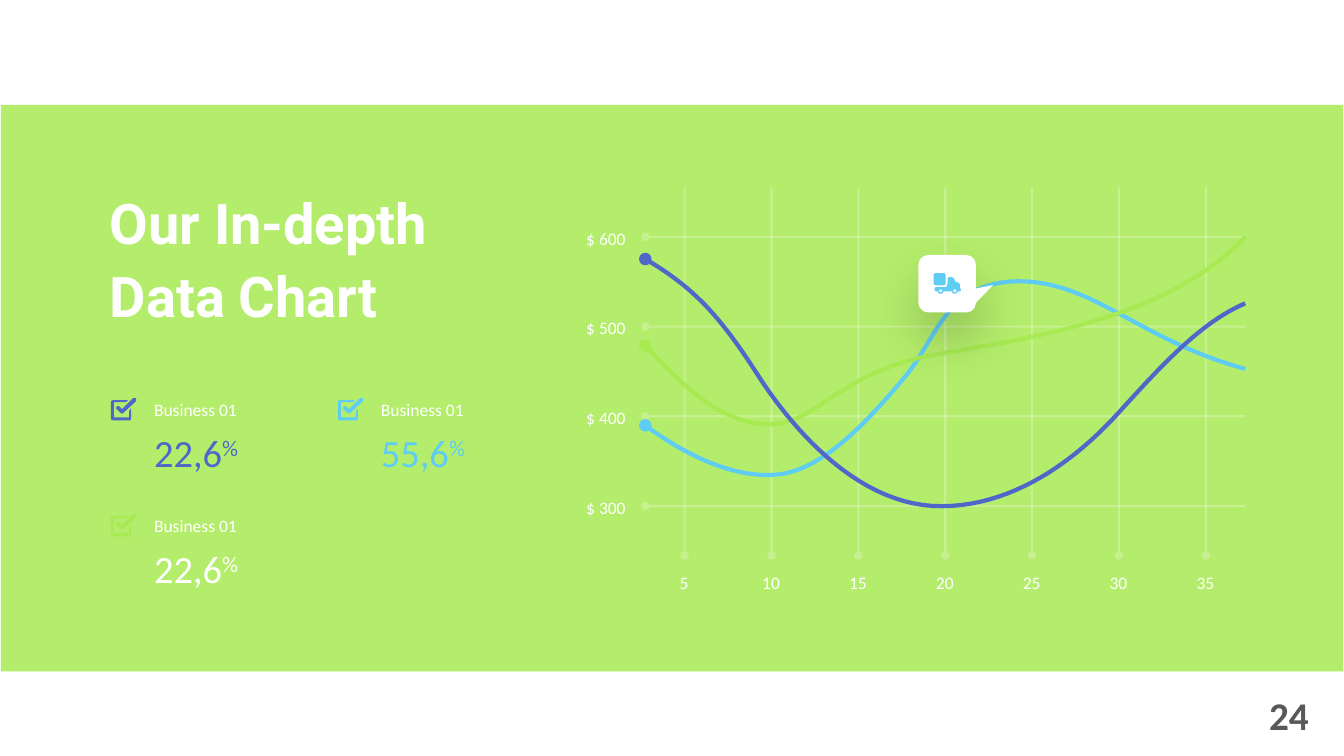
from lxml import etree
from pptx import Presentation
from pptx.dml.color import RGBColor
from pptx.enum.shapes import MSO_CONNECTOR, MSO_SHAPE
from pptx.enum.text import PP_ALIGN
from pptx.oxml.ns import qn
from pptx.util import Inches, Pt

STRAIGHT = MSO_CONNECTOR.STRAIGHT
RECTANGLE = MSO_SHAPE.RECTANGLE
ROUNDED = MSO_SHAPE.ROUNDED_RECTANGLE
OVAL = MSO_SHAPE.OVAL
CALLOUT = MSO_SHAPE.ROUNDED_RECTANGULAR_CALLOUT
LEFT, CENTER, RIGHT = PP_ALIGN.LEFT, PP_ALIGN.CENTER, PP_ALIGN.RIGHT

COLORS = {
    "white": "FFFFFF",
    "gray": "595959",
    "green": "A7EA52",
    "sky": "5ECCF3",
    "blue": "4E67C8",
}

SERIES = [
    ("sky", [(6.4, 4.22), (6.83, 4.54), (7.34, 4.77), (7.77, 4.7),
             (8.2, 4.62), (8.61, 4.17), (8.95, 3.77),
             (9.3, 3.37), (9.36, 2.8), (10.1, 2.79),
             (10.85, 2.79), (11.29, 3.37), (12.35, 3.66)]),
    ("green", [(6.4, 3.43), (6.76, 3.81), (7.13, 4.2), (7.62, 4.21),
               (8.11, 4.22), (8.3, 3.68), (9.32, 3.51),
               (10.35, 3.34), (11.63, 3.12), (12.35, 2.35)]),
    ("blue", [(6.4, 2.57), (6.88, 2.85), (7.14, 3.14), (7.49, 3.68),
              (7.83, 4.22), (8.46, 4.97), (9.25, 5.02),
              (10.04, 5.06), (10.69, 4.54), (11.09, 4.1),
              (11.49, 3.66), (11.9, 3.2), (12.35, 3.01)]),
]

CHECKBOX = [
    [(0, 0.21), (0, 0.03), (0.02, 0.02), (0.17, 0.02), (0.15, 0.04),
     (0.03, 0.04), (0.03, 0.19), (0.18, 0.19), (0.18, 0.13), (0.2, 0.1),
     (0.2, 0.21), (0.19, 0.22), (0.02, 0.22)],
    [(0.11, 0.11), (0.08, 0.08), (0.06, 0.08), (0.05, 0.1), (0.06, 0.11),
     (0.1, 0.15), (0.12, 0.15), (0.25, 0.03), (0.25, 0), (0.22, 0)],
]

TRUCK_BODY = [
    [(9.41, 2.75), (9.44, 2.75), (9.46, 2.76), (9.48, 2.8), (9.5, 2.8),
     (9.52, 2.82), (9.52, 2.85), (9.53, 2.87), (9.53, 2.88), (9.52, 2.89),
     (9.28, 2.89), (9.27, 2.88), (9.27, 2.86), (9.28, 2.85), (9.37, 2.85),
     (9.39, 2.84), (9.4, 2.81), (9.4, 2.76)],
]

METRICS = [
    (1.1, 3.95, "blue", "22,6", "blue"),
    (3.35, 3.95, "sky", "55,6", "sky"),
    (1.1, 5.1, "green", "22,6", "white"),
]


def rgb(color):
    return RGBColor.from_string(COLORS[color])


def set_alpha(shape, percent):
    for color in shape._element.spPr.iter(qn("a:srgbClr")):
        etree.SubElement(color, qn("a:alpha"), val=str(percent * 1000))


def add_oval_head(shape):
    line = shape._element.spPr.find(qn("a:ln"))
    etree.SubElement(line, qn("a:headEnd"), type="oval")


def fill_plain(shape, color):
    shape.shadow.inherit = False
    shape.fill.solid()
    shape.fill.fore_color.rgb = rgb(color)
    shape.line.fill.background()
    return shape


def add_block(slide, kind, left, top, width, height, color):
    shape = slide.shapes.add_shape(
        kind, Inches(left), Inches(top), Inches(width), Inches(height))
    return fill_plain(shape, color)


def add_text(slide, text, left, top, width, height, *, size=12.5, color="white",
             font="Calibri", bold=False, align=LEFT, spacing=None, superscript=""):
    box = slide.shapes.add_textbox(
        Inches(left), Inches(top), Inches(width), Inches(height))
    box.text_frame.word_wrap = True
    paragraph = box.text_frame.paragraphs[0]
    paragraph.alignment = align
    paragraph.line_spacing = spacing
    for part in filter(None, (text, superscript)):
        run = paragraph.add_run()
        run.text = part
        run.font.size = Pt(size)
        run.font.name = font
        run.font.bold = bold
        run.font.color.rgb = rgb(color)
    if superscript:
        run.font._element.set("baseline", "30000")


def add_gridline(slide, start, end):
    connector = slide.shapes.add_connector(
        STRAIGHT, *(Inches(value) for value in start + end))
    connector.line.color.rgb = rgb("white")
    connector.line.width = Pt(1.5)
    set_alpha(connector, 25)
    add_oval_head(connector)
    etree.SubElement(connector._element.spPr, qn("a:effectLst"))


def add_outline(slide, contours, left=0, top=0, close=True):
    placed = [[(Inches(left + x), Inches(top + y)) for x, y in contour]
              for contour in contours]
    builder = slide.shapes.build_freeform(*placed[0][0])
    for index, contour in enumerate(placed):
        if index:
            builder.move_to(*contour[0])
        builder.add_line_segments(contour[1:], close=close)
    return builder.convert_to_shape()


def curve_points(controls, steps=24):
    """Sample a chain of cubic curves that share their end points."""
    points = [controls[0]]
    for first in range(0, len(controls) - 1, 3):
        segment = controls[first:first + 4]
        for step in range(1, steps + 1):
            t = step / steps
            weights = ((1 - t) ** 3, 3 * t * (1 - t) ** 2, 3 * t * t * (1 - t), t ** 3)
            points.append(tuple(
                sum(weight * point[axis] for weight, point in zip(weights, segment))
                for axis in (0, 1)))
    return points


def add_curve(slide, color, controls):
    curve = add_outline(slide, [curve_points(controls)], close=False)
    curve.shadow.inherit = False
    curve.fill.background()
    curve.line.color.rgb = rgb(color)
    curve.line.width = Pt(3)
    add_oval_head(curve)


def add_graph(slide):
    columns = [(6.79 + index * (11.96 - 6.79) / 6, 5 * (index + 1)) for index in range(7)]
    rows = [(5.02 - index * 0.89, 300 + 100 * index) for index in range(4)]
    for x, _ in columns:
        add_gridline(slide, (x, 5.51), (x, 1.86))
    for y, _ in rows:
        add_gridline(slide, (6.4, y), (12.35, y))
    for color, controls in SERIES:
        add_curve(slide, color, controls)
    for x, value in columns:
        add_text(slide, str(value), x - 0.36, 5.63, 0.71, 0.31, align=CENTER)
    for y, value in rows:
        add_text(slide, f"$ {value}", 5.53, y - 0.14, 0.96, 0.31, align=CENTER)


def add_metric(slide, left, top, icon_color, value, value_color):
    add_text(slide, "Business 01", left + 0.33, top - 0.04, 1.57, 0.31)
    add_text(slide, value, left + 0.33, top + 0.26, 1.57, 0.56,
             size=27.5, color=value_color, superscript="%")
    fill_plain(add_outline(slide, CHECKBOX, left, top), icon_color)


def add_truck_callout(slide):
    callout = add_block(slide, CALLOUT, 9.11, 2.53, 0.57, 0.57, "white")
    for index, value in enumerate((0.796, 0.024, 0.167)):
        callout.adjustments[index] = value
    effects = callout._element.spPr.find(qn("a:effectLst"))
    shadow = etree.SubElement(
        effects, qn("a:outerShdw"), blurRad=str(Pt(38)), dist=str(Pt(18)),
        dir="5400000", algn="ctr", rotWithShape="0")
    black = etree.SubElement(shadow, qn("a:srgbClr"), val="000000")
    etree.SubElement(black, qn("a:alpha"), val="20000")
    fill_plain(add_outline(slide, TRUCK_BODY), "sky")
    add_block(slide, ROUNDED, 9.26, 2.71, 0.12, 0.12, "sky")
    for x in (9.33, 9.47):
        for radius, color in ((0.03, "sky"), (0.015, "white")):
            add_block(slide, OVAL, x - radius, 2.885 - radius, 2 * radius, 2 * radius, color)


def main():
    presentation = Presentation()
    presentation.slide_width = Inches(13.33)
    presentation.slide_height = Inches(7.5)
    slide = presentation.slides.add_slide(presentation.slide_layouts[6])
    add_text(slide, "24", 11.48, 6.81, 1.6, 0.57,
             size=28, color="gray", bold=True, align=RIGHT)
    band = add_block(slide, RECTANGLE, 0.01, 1.04, 13.31, 5.62, "green")
    set_alpha(band, 85)
    add_graph(slide)
    add_text(slide, "Our In-depth Data Chart", 0.99, 1.75, 4.42, 1.52,
             size=40, font="Roboto", bold=True, spacing=1.1)
    for metric in METRICS:
        add_metric(slide, *metric)
    add_truck_callout(slide)
    presentation.save("out.pptx")


if __name__ == "__main__":
    main()
